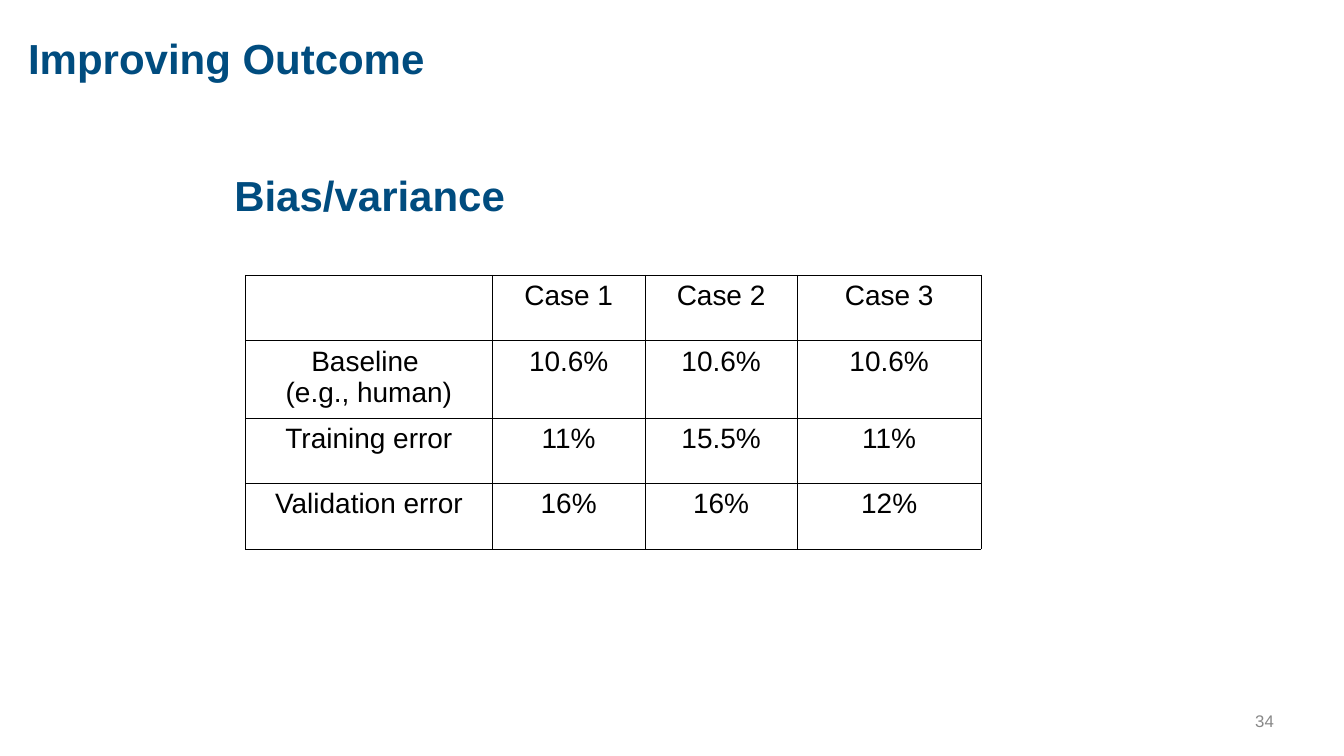
from lxml.etree import SubElement
from pptx import Presentation
from pptx.dml.color import RGBColor
from pptx.enum.text import MSO_ANCHOR, PP_ALIGN
from pptx.oxml.ns import qn
from pptx.util import Pt

COLOURS = {"heading": "004C7F", "body": "000000", "page": "888888", "paper": "FFFFFF"}
FONT = "Arial"
BORDER = 1

ERROR_RATES = [
    ["", "Case 1", "Case 2", "Case 3"],
    ["Baseline \n(e.g., human)", "10.6%", "10.6%", "10.6%"],
    ["Training error", "11%", "15.5%", "11%"],
    ["Validation error", "16%", "16%", "12%"],
]
COLUMN_WIDTHS = [352.8, 218.2, 217.4, 262.8]
ROW_HEIGHTS = [93.6, 110.2, 93.6, 93.6]


def add_run(paragraph, text, size, colour, bold=False):
    run = paragraph.add_run()
    run.text = text
    run.font.name = FONT
    run.font.size = Pt(size)
    run.font.bold = bold
    run.font.color.rgb = RGBColor.from_string(COLOURS[colour])


def add_label(slide, text, box, size, colour, bold=False, inset=7.2,
              anchor=MSO_ANCHOR.MIDDLE, align=PP_ALIGN.LEFT, spacing=1.0):
    frame = slide.shapes.add_textbox(*map(Pt, box)).text_frame
    frame.word_wrap = True
    frame.vertical_anchor = anchor
    frame.margin_left = frame.margin_right = Pt(inset)
    frame.margin_top = frame.margin_bottom = Pt(inset)
    paragraph = frame.paragraphs[0]
    paragraph.alignment = align
    paragraph.line_spacing = spacing
    add_run(paragraph, text, size, colour, bold)


def add_borders(cell):
    properties = cell._tc.get_or_add_tcPr()
    for side in ("a:lnL", "a:lnR", "a:lnT", "a:lnB"):
        line = SubElement(properties, qn(side), w=str(Pt(BORDER)))
        fill = SubElement(line, qn("a:solidFill"))
        SubElement(fill, qn("a:srgbClr"), val=COLOURS["body"])


def fill_cell(cell, text):
    cell.margin_left = cell.margin_right = Pt(14.4)
    cell.margin_top = cell.margin_bottom = Pt(7.2)
    cell.vertical_anchor = MSO_ANCHOR.TOP
    add_borders(cell)
    cell.fill.solid()
    cell.fill.fore_color.rgb = RGBColor.from_string(COLOURS["paper"])
    if not text:
        return
    frame = cell.text_frame
    for index, line in enumerate(text.split("\n")):
        paragraph = frame.add_paragraph() if index else frame.paragraphs[0]
        paragraph.alignment = PP_ALIGN.CENTER
        add_run(paragraph, line, 40, "body")


def add_error_table(slide, left, top):
    size = (sum(COLUMN_WIDTHS), sum(ROW_HEIGHTS))
    table = slide.shapes.add_table(
        len(ROW_HEIGHTS), len(COLUMN_WIDTHS), *map(Pt, (left, top, *size))).table
    table.first_row = table.horz_banding = False
    for column, width in zip(table.columns, COLUMN_WIDTHS):
        column.width = Pt(width)
    for row, height, texts in zip(table.rows, ROW_HEIGHTS, ERROR_RATES):
        row.height = Pt(height)
        for cell, text in zip(row.cells, texts):
            fill_cell(cell, text)


def main():
    deck = Presentation()
    deck.slide_width, deck.slide_height = Pt(1920.24), Pt(1080)
    slide = deck.slides.add_slide(deck.slide_layouts[6])

    # Topic and its error table
    add_label(slide, "Bias/variance", (327.6, 200.2, 1328.4, 154.8), 60, "heading", bold=True)
    add_error_table(slide, 350.6, 393.1)

    # Section heading
    add_label(slide, "Improving Outcome", (33.1, 47.5, 743.8, 80.6), 60, "heading",
              bold=True, anchor=MSO_ANCHOR.TOP, spacing=0.9)

    # Page number
    add_label(slide, "34", (1768.3, 1011.6, 55.4, 36), 24, "page", inset=3.6,
              align=PP_ALIGN.RIGHT)

    deck.save("out.pptx")


if __name__ == "__main__":
    main()
